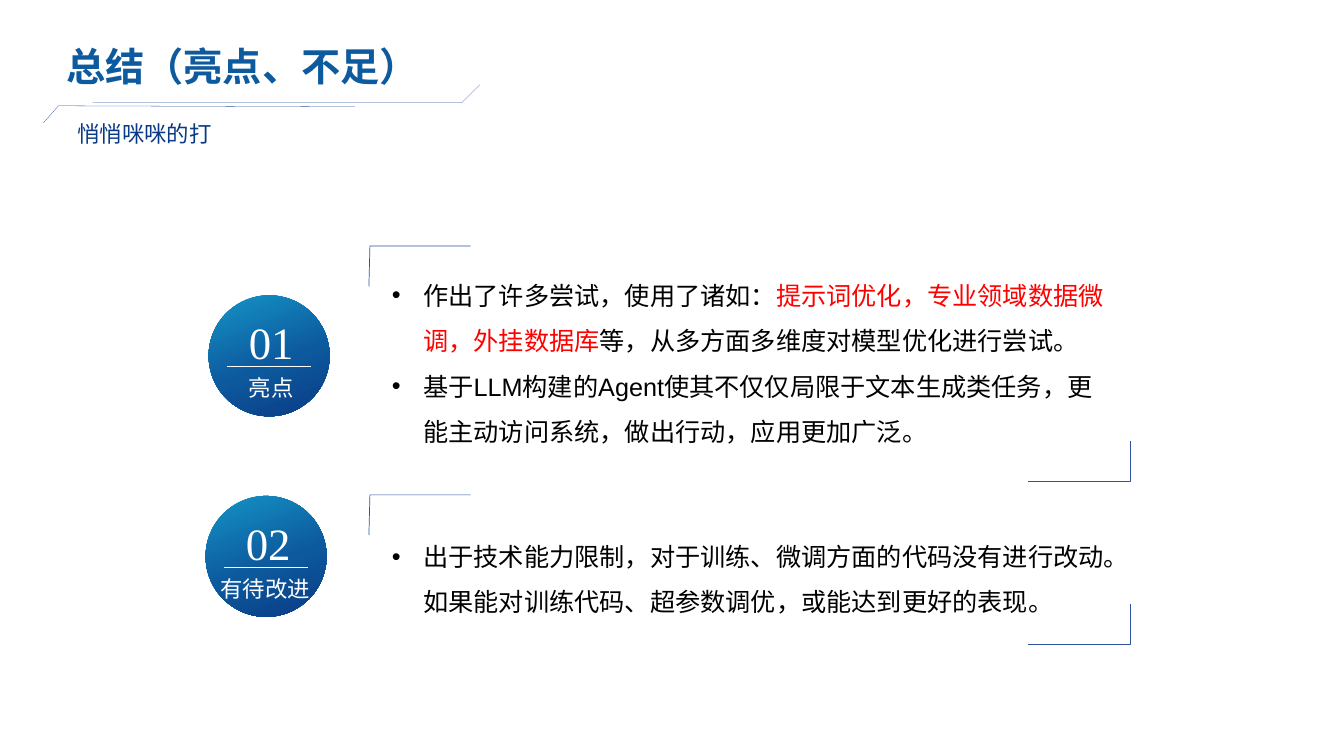
import copy

import pptx
import pptx.dml.color
import pptx.enum.shapes
import pptx.enum.text
import pptx.oxml
import pptx.oxml.ns
import pptx.util
from lxml import etree

RGB = pptx.dml.color.RGBColor
WHITE = RGB(0xFF, 0xFF, 0xFF)
BLACK = RGB(0, 0, 0)
RED = RGB(0xFF, 0, 0)
BLUE = RGB(0x0D, 0x5A, 0x9E)
NAVY = RGB(0x0A, 0x3A, 0x85)
RULE = RGB(0x2E, 0x54, 0xA1)
STOPS = [(0, RGB(0x14, 0x94, 0xC6)), (0.56, RGB(0x0D, 0x59, 0x9D)), (1, NAVY)]

HAN = "Noto Sans CJK SC"
SANS = "Arial"
SERIF = "Times New Roman"

COLS, ROWS = 133.33, 75
LEFT, RIGHT = 36.6, 112.1  # edges of the two panels
ARM, DROP = 10.1, 4  # reach of a corner mark


def cell(count):
    """Length of a number of grid cells, ten to the inch."""
    return pptx.util.Inches(count / 10)


def style(para, size, face, color, bold=False):
    font = para.font
    font.size = pptx.util.Pt(size)
    font.bold = bold
    font.name = face
    font.color.rgb = color
    east = etree.SubElement(font._element, pptx.oxml.ns.qn("a:ea"))
    east.set("typeface", HAN)


def bullet(para):
    props = para._p.get_or_add_pPr()
    indent = pptx.util.Inches(0.31)
    props.set("marL", str(indent))
    props.set("indent", str(-indent))
    face = etree.SubElement(props, pptx.oxml.ns.qn("a:buFont"))
    face.set("typeface", SANS)
    mark = etree.SubElement(props, pptx.oxml.ns.qn("a:buChar"))
    mark.set("char", "•")


def frame(slide, left, top, width, height, middle=False):
    box = slide.shapes.add_textbox(*map(cell, (left, top, width, height)))
    text = box.text_frame
    text.word_wrap = True
    if middle:
        text.vertical_anchor = pptx.enum.text.MSO_ANCHOR.MIDDLE
    return text


def label(slide, area, words, size, face, color, bold=False, middle=False, gap=1):
    para = frame(slide, *area, middle).paragraphs[0]
    para.text = words
    para.line_spacing = gap
    style(para, size, face, color, bold)


def body(slide, top, height, items):
    """Bulleted text; each item is a list of (words, colour) runs."""
    text = frame(slide, 37.9, top, 73.1, height)
    for i, runs in enumerate(items):
        para = text.paragraphs[0] if i == 0 else text.add_paragraph()
        para.line_spacing = 1.5
        bullet(para)
        style(para, 18, SANS, BLACK)
        for words, color in runs:
            run = para.add_run()
            run.text = words
            if color != BLACK:
                run.font.color.rgb = color


def trace(slide, points, width):
    """Open outline through the given grid points."""
    first, *rest = [(cell(x), cell(y)) for x, y in points]
    pen = slide.shapes.build_freeform(*first)
    pen.add_line_segments(rest, close=False)
    shape = pen.convert_to_shape()
    shape.shadow.inherit = False
    shape.fill.background()
    shape.line.color.rgb = RULE
    shape.line.width = pptx.util.Pt(width)


def corners(slide, top, low):
    trace(slide, [(LEFT, top + DROP), (LEFT + 0.1, top), (LEFT + ARM, top)], 0.5)
    trace(slide, [(RIGHT, low - DROP), (RIGHT, low), (RIGHT - ARM, low)], 0.5)


def shade(fill):
    fill.gradient()
    fill.gradient_angle = 291
    stops = fill.gradient_stops
    last = stops[1]._gs
    last.addprevious(copy.deepcopy(last))
    for stop, (place, color) in zip(fill.gradient_stops, STOPS):
        stop.position = place
        stop.color.rgb = color


def badge(slide, left, top, number, words, inset):
    kind = pptx.enum.shapes.MSO_SHAPE.OVAL
    disc = slide.shapes.add_shape(kind, *map(cell, (left, top, 12, 12)))
    disc.shadow.inherit = False
    disc.line.fill.background()
    shade(disc.fill)
    label(slide, (left + 3, top + 1.45, 7.2, 6.4), number, 32, SERIF, WHITE)
    ends = (left + 1.8, top + 7.05, left + 10.2, top + 7.05)
    straight = pptx.enum.shapes.MSO_CONNECTOR.STRAIGHT
    rule = slide.shapes.add_connector(straight, *map(cell, ends))
    rule.line.color.rgb = WHITE
    rule.line.width = pptx.util.Pt(0.2)
    etree.SubElement(rule._element.spPr, pptx.oxml.ns.qn("a:effectLst"))
    label(slide, (left + inset, top + 7.35, 11.2, 3.7), words, 16, SERIF, WHITE)


def header(slide):
    label(slide, (6.7, 11.8, 30.7, 3.2), "悄悄咪咪的打", 16, HAN, NAVY,
          middle=True, gap=0.9)
    trace(slide, [(4.3, 12.2), (5.8, 10.5), (35.2, 10.6)], 0.2)
    trace(slide, [(9.2, 10.2), (45.8, 10.2), (47.6, 8.4)], 0.2)
    label(slide, (5.6, 4.8, 54.8, 4.1), "总结（亮点、不足）", 28, HAN, BLUE,
          bold=True, middle=True, gap=0.9)


def main():
    deck = pptx.Presentation()
    deck.slide_width, deck.slide_height = cell(COLS), cell(ROWS)
    slide = deck.slides.add_slide(deck.slide_layouts[6])
    header(slide)
    body(slide, 25.8, 19, [
        [("作出了许多尝试，使用了诸如：", BLACK),
         ("提示词优化，专业领域数据微调，外挂数据库", RED),
         ("等，从多方面多维度对模型优化进行尝试。", BLACK)],
        [("基于LLM构建的Agent使其不仅仅局限于文本生成类任务，"
          "更能主动访问系统，做出行动，应用更加广泛。", BLACK)],
    ])
    body(slide, 51.7, 10, [
        [("出于技术能力限制，对于训练、微调方面的代码没有进行改动。"
          "如果能对训练代码、超参数调优，或能达到更好的表现。", BLACK)],
    ])
    badge(slide, 20.4, 49.2, "02", "有待改进", 0.5)
    badge(slide, 20.7, 29.3, "01", "亮点", 3)
    corners(slide, 24.4, 47.8)
    corners(slide, 49.1, 63.9)
    deck.save("out.pptx")


if __name__ == "__main__":
    main()
